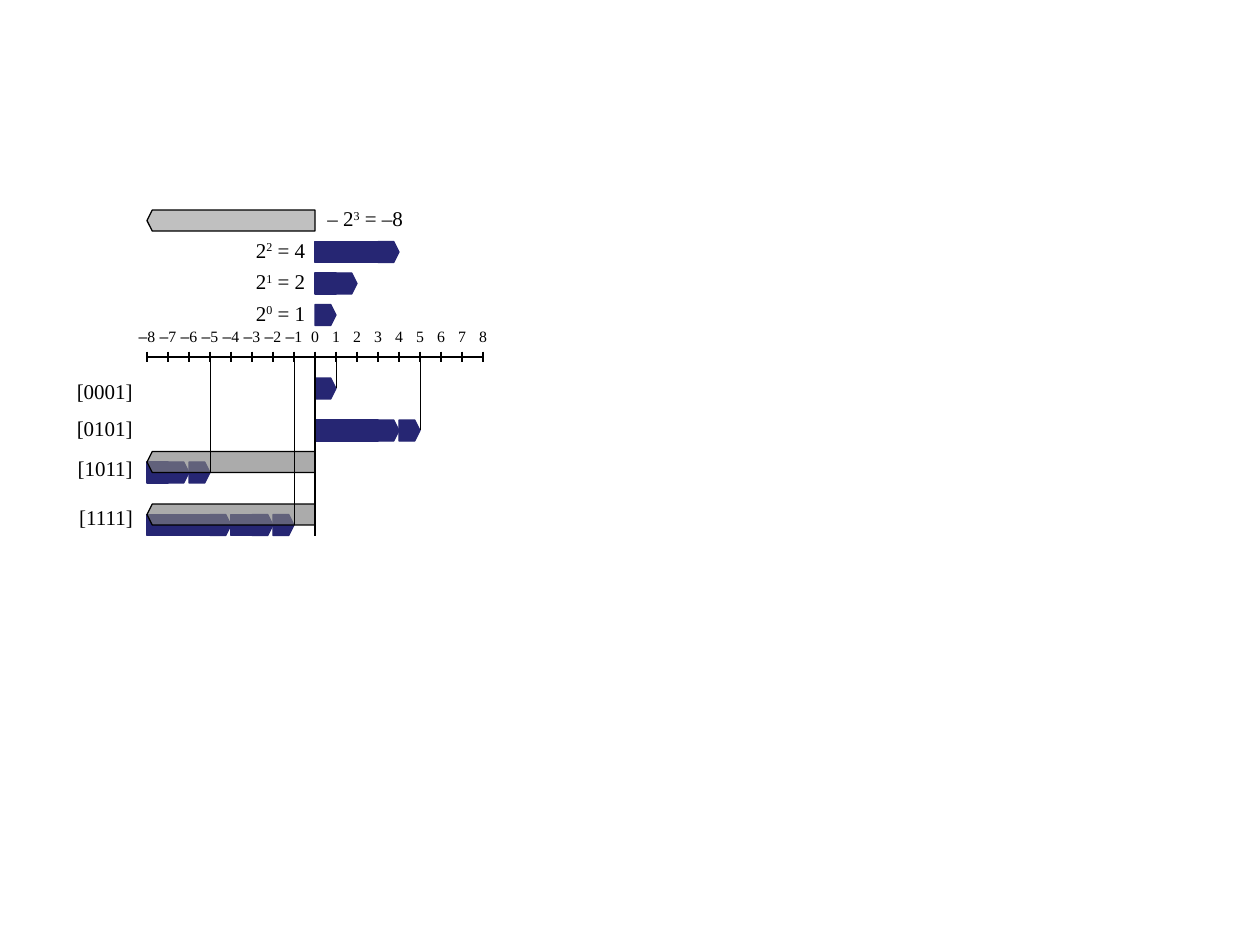
"""Draw four-bit two's-complement weights and sums on a number line."""
from lxml import etree
from pptx import Presentation
from pptx.dml.color import RGBColor
from pptx.enum.shapes import MSO_CONNECTOR, MSO_SHAPE
from pptx.enum.text import MSO_ANCHOR, MSO_AUTO_SIZE, PP_ALIGN
from pptx.oxml.ns import qn
from pptx.util import Pt

RECT, PLATE = MSO_SHAPE.RECTANGLE, MSO_SHAPE.PENTAGON
LEFT, MID, RIGHT = PP_ALIGN.LEFT, PP_ALIGN.CENTER, PP_ALIGN.RIGHT
FIT, NONE = MSO_AUTO_SIZE.SHAPE_TO_FIT_TEXT, MSO_AUTO_SIZE.NONE
STRAIGHT = MSO_CONNECTOR.STRAIGHT
PX = 6350
SERIF, SANS = "Times New Roman", "Arial"
NAVY, BLACK, GRAY, SILVER = "262673", "000000", "808080", "C0C0C0"

UNIT, ZERO, AXIS, SPAN = 24, 360, 408, 8
# (weight, exponent, bar top)
POWERS = [(4, "2", 276), (2, "1", 312), (1, "0", 348)]
# (code, label top, start, weights, bar top)
CODES = [
    ("[0001]", 425, 0, [1], 432),
    ("[0101]", 468, 0, [4, 1], 480),
    ("[1011]", 514, -8, [2, 1], 528),
    ("[1111]", 569, -8, [4, 2, 1], 588),
]

deck = Presentation()
deck.slide_width, deck.slide_height = 1440 * PX, 1080 * PX
slide = deck.slides.add_slide(deck.slide_layouts[6])


def hue(code):
    return RGBColor.from_string(code)


def at(value):
    return ZERO + value * UNIT


def block(kind, value, top, size, fill, edge):
    item = slide.shapes.add_shape(
        kind, at(value) * PX, top * PX, size * UNIT * PX, UNIT * PX)
    item.shadow.inherit = False
    item.fill.solid()
    item.fill.fore_color.rgb = hue(fill)
    item.line.color.rgb = hue(edge)
    item.line.width = Pt(0.75)
    if kind == PLATE:
        item.adjustments[0] = 0.25
    return item


def bar(start, weight, top):
    block(PLATE, start + weight - 1, top, 1, NAVY, NAVY)
    if weight > 1:
        block(RECT, start, top, weight - 1, NAVY, NAVY)


def sign(top, fill, alpha=None):
    item = block(PLATE, -SPAN, top, SPAN, fill, BLACK)
    item.rotation = 180
    if alpha:
        tint = item.fill._xPr.find(qn("a:solidFill"))[0]
        etree.SubElement(tint, qn("a:alpha"), val=str(alpha * 1000))


def rule(x1, y1, x2, y2, width):
    line = slide.shapes.add_connector(
        STRAIGHT, x1 * PX, y1 * PX, x2 * PX, y2 * PX)
    line.line.color.rgb = hue(BLACK)
    line.line.width = Pt(width)
    etree.SubElement(line._element.spPr, qn("a:effectLst"))


def label(box, runs, size, align, fit=FIT):
    """Add text whose runs are (text, font, baseline) tuples."""
    frame = slide.shapes.add_textbox(*[n * PX for n in box]).text_frame
    frame.word_wrap = False
    frame.auto_size = fit
    if fit == NONE:
        frame.vertical_anchor = MSO_ANCHOR.MIDDLE
    para = frame.paragraphs[0]
    para.alignment = align
    para.font.size = Pt(size)
    for text, face, base in runs:
        run = para.add_run()
        run.text = text
        run.font.name = face
        run.font.size = Pt(size)
        run.font.color.rgb = hue(BLACK)
        if base:
            run.font._element.set("baseline", str(base * 1000))


def power(box, lead, exp, tail, align):
    label(box, [(lead, SERIF, 0), (exp, SERIF, 30), (tail, SERIF, 0)], 12, align)


for code, head, start, weights, top in CODES:
    spot = start
    for weight in weights:
        bar(spot, weight, top)
        spot += weight
    if start < 0:
        sign(top - 12, GRAY, 66)
    label((72, head, 94, 43), [(code, SERIF, 0)], 12, RIGHT)
    rule(at(spot), AXIS, at(spot), top + 12, 0.5)

for value in range(-SPAN, SPAN + 1):
    rule(at(value), AXIS - 6, at(value), AXIS + 6, 0.75)
    runs = [("–", SANS, 0)] if value < 0 else []
    runs.append((str(abs(value)), SERIF, 0))
    label((at(value) - 12, 372, UNIT, UNIT), runs, 9, MID, NONE)

for weight, exp, top in POWERS:
    bar(0, weight, top)
    power((277, top - 12, 86, 43), "2", exp, f" = {weight}", RIGHT)

rule(at(-SPAN), AXIS, at(SPAN), AXIS, 0.75)
rule(ZERO, AXIS, ZERO, 612, 1)
power((ZERO, 228, 117, 43), "– 2", "3", " = –8", LEFT)
sign(240, SILVER)

deck.save("out.pptx")
